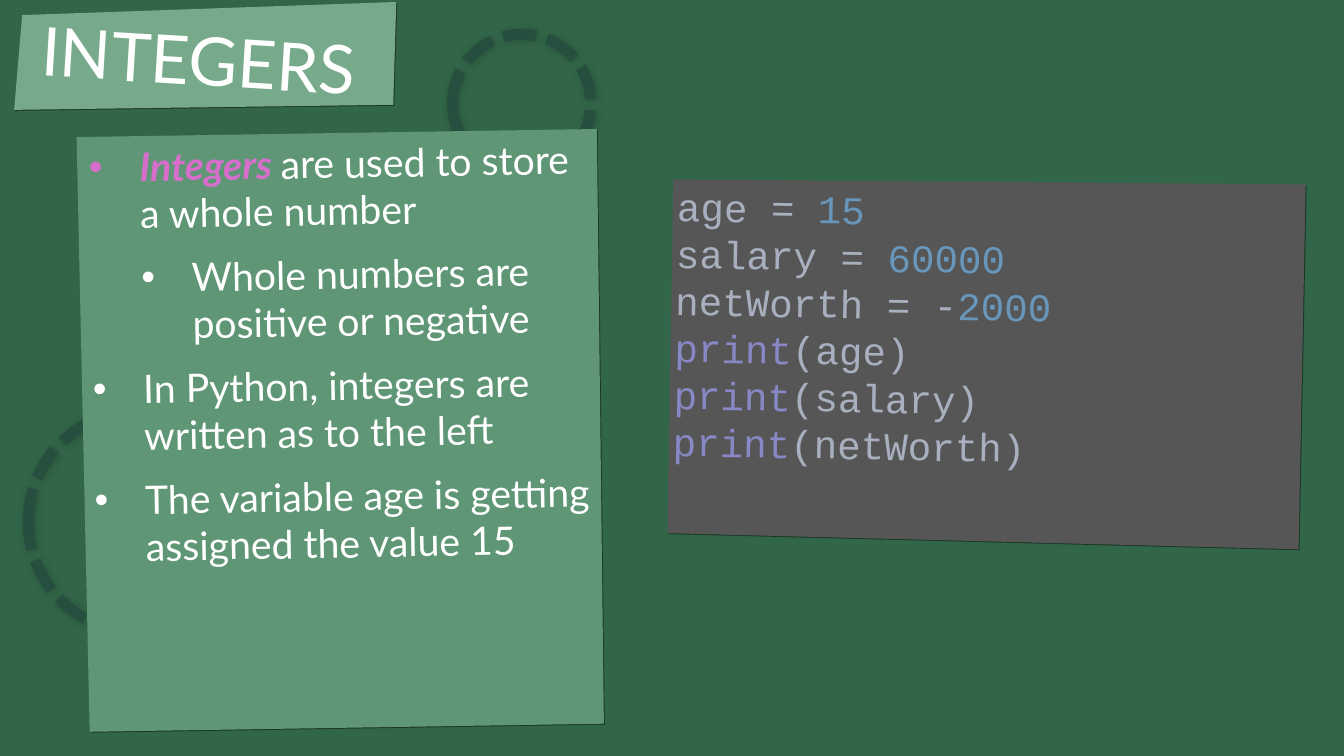
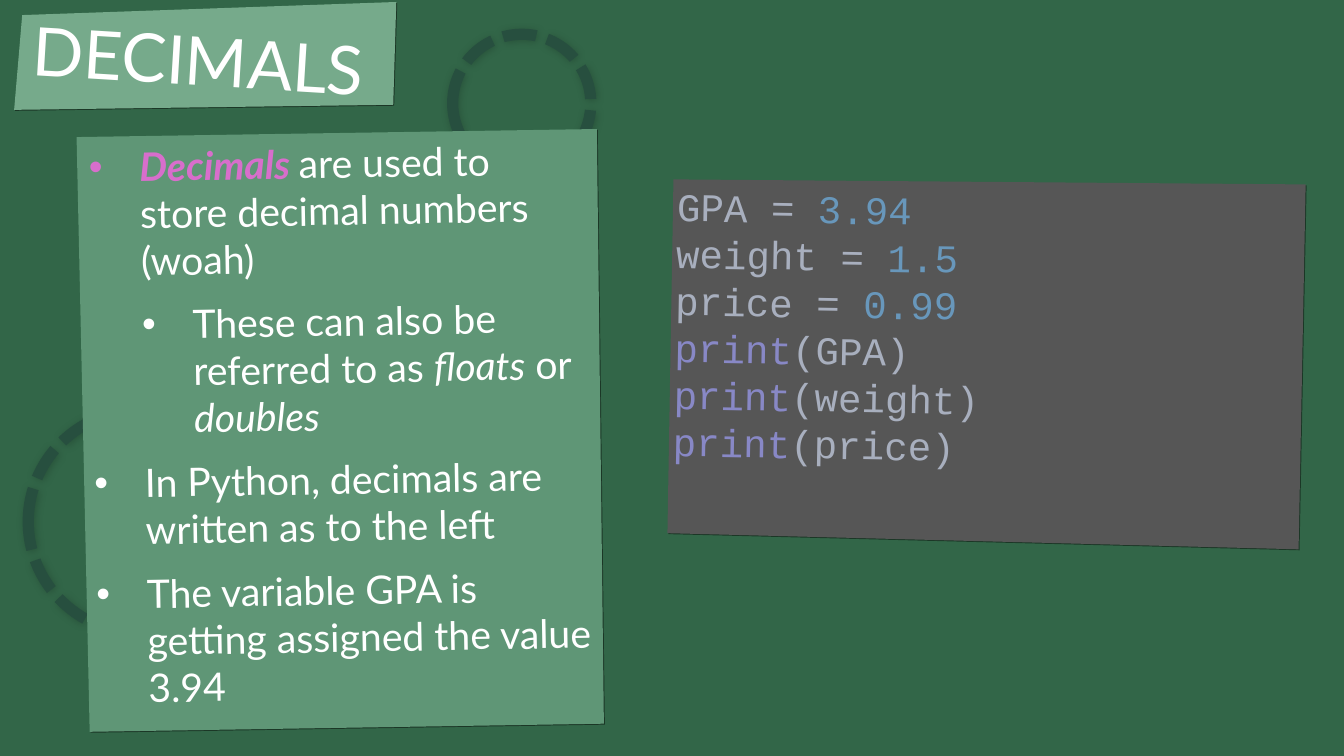
from lxml import etree
from pptx import Presentation
from pptx.dml.color import RGBColor
from pptx.enum.dml import MSO_LINE
from pptx.enum.shapes import MSO_SHAPE
from pptx.enum.text import MSO_ANCHOR, PP_ALIGN
from pptx.oxml.ns import qn
from pptx.util import Inches, Pt

# Shared colours and fonts
GREEN, RING, WHITE, PINK = "326648", "274F3F", "FFFFFF", "D86ECC"
PLAIN, NUMBER, BUILTIN = "A8AFBE", "6897BB", "8888C6"
TEXT_FONT, CODE_FONT, BULLET_FONT = "Lato", "Courier New", "Arial"

# Shared layout: rings are left, top, size
RINGS = [(0.28, 4.07, 2.21), (4.49, 0.34, 1.37)]
# Tilted panels: fill, corners, text area, text rotation
PANELS = {
    "body": ("5F9676", [(0.76, 1.36), (5.92, 1.28), (5.99, 7.18), (0.89, 7.26)],
             (0.83, 1.33, 5.12, 5.9), -1),
    "title": ("76AA8B", [(0.22, 0.15), (3.93, 0.02), (3.9, 1.04), (0.14, 1.09)],
              (0, 0.07, 3.94, 1.02), 3.5),
    "code": ("565656", [(6.68, 1.78), (12.95, 1.83), (12.88, 5.45), (6.62, 5.29)],
             (6.59, 1.81, 6.28, 3.56), 1),
}

# Slide content: bullets are (level, [(text, style)]), variables are (name, sign, value)
SLIDES = [
    {
        "title": "INTEGERS",
        "bullets": [
            (0, [("Integers ", "key"), ("are used to store a whole number", "")]),
            (1, [("Whole numbers are positive or negative", "")]),
            (0, [("In Python, integers are written as to the left", "")]),
            (0, [("The variable age is getting assigned the value 15", "")]),
        ],
        "variables": [("age", "", "15"), ("salary", "", "60000"), ("netWorth", "-", "2000")],
    },
    {
        "title": "DECIMALS",
        "bullets": [
            (0, [("Decimals ", "key"), ("are used to store decimal numbers (woah)", "")]),
            (1, [("These can also be referred to as ", ""), ("floats", "italic"),
                 (" or ", ""), ("doubles", "italic")]),
            (0, [("In Python, decimals are written as to the left", "")]),
            (0, [("The variable GPA is getting assigned the value 3.94", "")]),
        ],
        "variables": [("GPA", "", "3.94"), ("weight", "", "1.5"), ("price", "", "0.99")],
    },
]


def add_shadow(shape, blur, opacity):
    shape.shadow.inherit = False
    effects = shape._element.spPr.find(qn("a:effectLst"))
    shadow = etree.SubElement(effects, qn("a:outerShdw"), blurRad=str(Pt(blur)),
                              dist=str(Pt(1)), dir=str(45 * 60000))
    color = etree.SubElement(shadow, qn("a:srgbClr"), val="000000")
    etree.SubElement(color, qn("a:alpha"), val=str(opacity * 1000))


def add_span(para, text, color, size=28, font=TEXT_FONT, bold=False, italic=False):
    span = para.add_run()
    span.text = text
    span.font.name = font
    span.font.size = Pt(size)
    span.font.bold = bold
    span.font.italic = italic
    span.font.color.rgb = RGBColor.from_string(color)


deck = Presentation()
deck.slide_width, deck.slide_height = Inches(13.33), Inches(7.5)

for content in SLIDES:
    page = deck.slides.add_slide(deck.slide_layouts[6])
    page.background.fill.solid()
    page.background.fill.fore_color.rgb = RGBColor.from_string(GREEN)

    # Dashed rings
    for left, top, size in RINGS:
        ring = page.shapes.add_shape(MSO_SHAPE.OVAL, Inches(left), Inches(top),
                                     Inches(size), Inches(size))
        ring.fill.background()
        ring.line.color.rgb = RGBColor.from_string(RING)
        ring.line.width = Pt(8)
        ring.line.dash_style = MSO_LINE.SQUARE_DOT
        add_shadow(ring, blur=6, opacity=20)

    # Tilted panels, each with its text area
    frames = {}
    for name, (fill, corners, area, rotation) in PANELS.items():
        points = [(Inches(x), Inches(y)) for x, y in corners]
        builder = page.shapes.build_freeform(*points[0])
        builder.add_line_segments(points[1:], close=True)
        panel = builder.convert_to_shape()
        panel.fill.solid()
        panel.fill.fore_color.rgb = RGBColor.from_string(fill)
        panel.line.fill.background()
        add_shadow(panel, blur=0, opacity=45)

        box = page.shapes.add_textbox(*[Inches(length) for length in area])
        box.rotation = rotation
        frames[name] = box.text_frame
        frames[name].word_wrap = True

    # Title
    frames["title"].vertical_anchor = MSO_ANCHOR.MIDDLE
    para = frames["title"].paragraphs[0]
    para.alignment = PP_ALIGN.CENTER
    add_span(para, content["title"], WHITE, size=48)

    # Bullets
    for index, (level, spans) in enumerate(content["bullets"]):
        para = frames["body"].add_paragraph() if index else frames["body"].paragraphs[0]
        properties = para._p.get_or_add_pPr()
        properties.set("marL", str(Inches(0.5 * (level + 1))))
        properties.set("indent", str(Inches(-0.5)))
        etree.SubElement(properties, qn("a:buFont"), typeface=BULLET_FONT)
        etree.SubElement(properties, qn("a:buChar"), char="•")
        para.level = level
        if index:
            para.space_before = Pt(12)
        for text, style in spans:
            add_span(para, text, PINK if style == "key" else WHITE,
                     bold=style == "key", italic=style != "")

    # Code: assignments, then one print per variable
    lines = [[(f"{name} = {sign}", PLAIN), (value, NUMBER)]
             for name, sign, value in content["variables"]]
    lines += [[("print", BUILTIN), (f"({name})", PLAIN)]
              for name, _, _ in content["variables"]]
    for index, spans in enumerate(lines):
        para = frames["code"].add_paragraph() if index else frames["code"].paragraphs[0]
        for text, color in spans:
            add_span(para, text, color, font=CODE_FONT)

deck.save("out.pptx")
